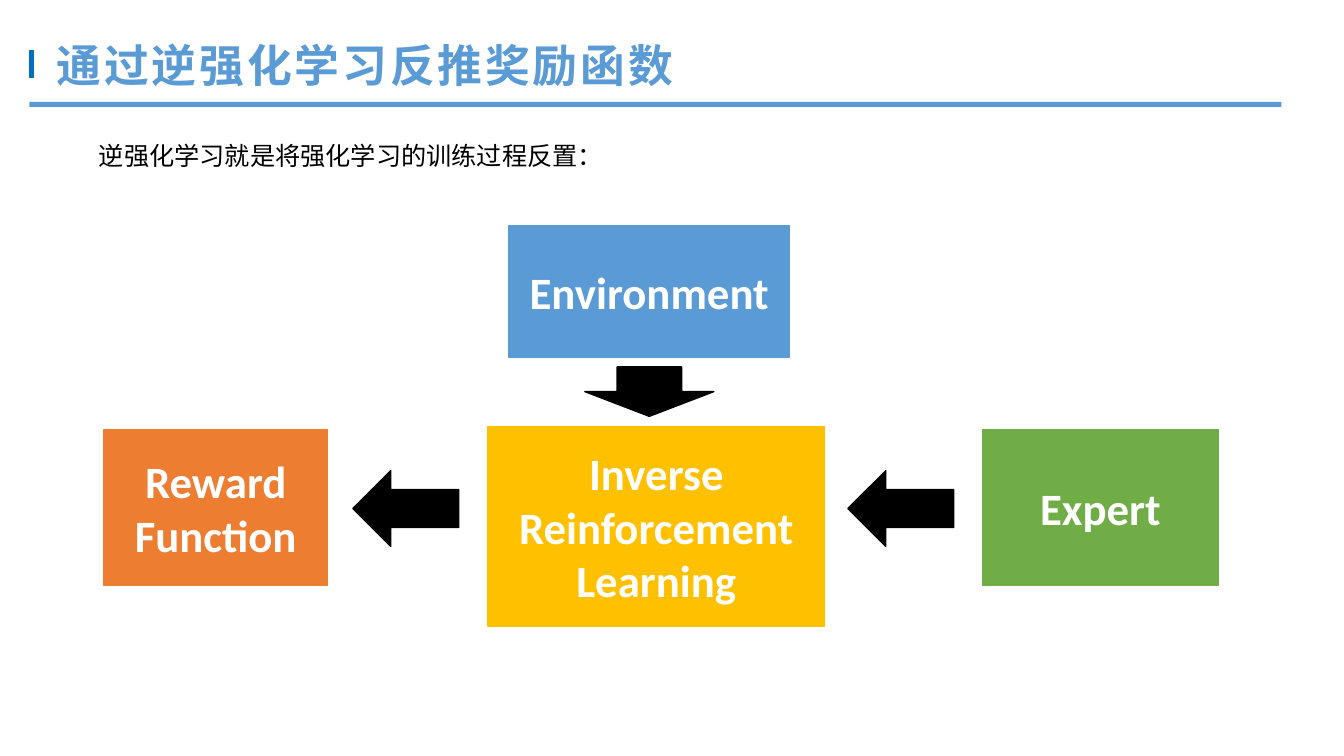
from dataclasses import dataclass

from lxml import etree
from pptx import Presentation
from pptx.dml.color import RGBColor
from pptx.enum.shapes import MSO_SHAPE
from pptx.enum.text import MSO_ANCHOR, MSO_AUTO_SIZE, PP_ALIGN
from pptx.oxml.ns import qn
from pptx.util import Inches, Pt

RECTANGLE = MSO_SHAPE.RECTANGLE
DOWN_ARROW = MSO_SHAPE.DOWN_ARROW
MIDDLE, TOP = MSO_ANCHOR.MIDDLE, MSO_ANCHOR.TOP
LEFT, CENTER = PP_ALIGN.LEFT, PP_ALIGN.CENTER
NO_AUTOFIT = MSO_AUTO_SIZE.NONE


@dataclass(frozen=True)
class Theme:
    blue: str = "5B9BD5"
    marker: str = "0070C0"
    orange: str = "ED7D31"
    gold: str = "FFC000"
    green: str = "70AD47"
    black: str = "000000"
    white: str = "FFFFFF"
    cjk_font: str = "Noto Sans CJK SC"
    body_font: str = "Cambria"
    box_font: str = "Calibri"
    large: int = 32
    body: int = 18
    outline: int = 1


THEME = Theme()

TITLE = "通过逆强化学习反推奖励函数"
INTRODUCTION = "逆强化学习就是将强化学习的训练过程反置："
TITLE_AREA = (0.46, 0.32, 6.55, 0.64)
INTRODUCTION_AREA = (0.38, 1.34, 12.27, 0.4)
FIRST_LINE_INDENT = 0.5

MARKER_AREA = (0.29, 0.5, 0.04, 0.27)
RULE_AREA = (0.29, 1.01, 12.42, 0.05)

BOXES = [
    (["Environment"], THEME.blue, (5.05, 2.24, 2.78, 1.31)),
    (["Reward", "Function"], THEME.orange, (1.03, 4.26, 2.22, 1.55)),
    (["Inverse", "Reinforcement", "Learning"], THEME.gold, (4.84, 4.23, 3.34, 1.98)),
    (["Expert"], THEME.green, (9.75, 4.26, 2.33, 1.55)),
]
ARROWS = [
    ((5.8, 3.64, 1.28, 0.49), 0),
    ((3.65, 4.52, 0.75, 1.05), 90),
    ((8.56, 4.52, 0.75, 1.05), 90),
]


def add_filled_shape(slide, preset, area, color, outlined=True):
    shape = slide.shapes.add_shape(preset, *map(Inches, area))
    shape.shadow.inherit = False
    shape.fill.solid()
    shape.fill.fore_color.rgb = RGBColor.from_string(color)
    if outlined:
        shape.line.color.rgb = RGBColor.from_string(color)
        shape.line.width = Pt(THEME.outline)
    else:
        shape.line.fill.background()
    return shape


def write_line(paragraph, text, font_name, size, color, alignment, bold=False):
    paragraph.alignment = alignment
    paragraph.space_before = Pt(0)
    run = paragraph.add_run()
    run.text = text
    run.font.name = font_name
    run.font.size = Pt(size)
    run.font.bold = bold
    run.font.color.rgb = RGBColor.from_string(color)
    return run


def set_east_asian_font(run, font_name):
    latin = run.font._element.find(qn("a:latin"))
    east_asian = etree.Element(qn("a:ea"), typeface=font_name)
    latin.addnext(east_asian)


def place_placeholder(placeholder, area, anchor):
    placeholder.left, placeholder.top, placeholder.width, placeholder.height = map(Inches, area)
    frame = placeholder.text_frame
    frame.word_wrap = True
    frame.auto_size = NO_AUTOFIT
    frame.vertical_anchor = anchor
    return frame.paragraphs[0]


def add_heading(slide):
    add_filled_shape(slide, RECTANGLE, MARKER_AREA, THEME.marker)
    add_filled_shape(slide, RECTANGLE, RULE_AREA, THEME.blue, outlined=False)
    paragraph = place_placeholder(slide.shapes.title, TITLE_AREA, MIDDLE)
    run = write_line(paragraph, TITLE, THEME.cjk_font, THEME.large, THEME.blue, LEFT, bold=True)
    set_east_asian_font(run, THEME.cjk_font)
    run.font._element.set("spc", "200")


def add_introduction(slide):
    paragraph = place_placeholder(slide.placeholders[1], INTRODUCTION_AREA, TOP)
    properties = paragraph._p.get_or_add_pPr()
    properties.set("marL", "0")
    properties.set("indent", str(Inches(FIRST_LINE_INDENT)))
    etree.SubElement(properties, qn("a:buNone"))
    run = write_line(paragraph, INTRODUCTION, THEME.body_font, THEME.body, THEME.black, LEFT)
    set_east_asian_font(run, THEME.cjk_font)


def add_box(slide, lines, color, area):
    box = add_filled_shape(slide, RECTANGLE, area, color)
    frame = box.text_frame
    frame.word_wrap = True
    frame.vertical_anchor = MIDDLE
    for index, line in enumerate(lines):
        paragraph = frame.add_paragraph() if index else frame.paragraphs[0]
        write_line(paragraph, line, THEME.box_font, THEME.large, THEME.white, CENTER, bold=True)


def main():
    presentation = Presentation()
    presentation.slide_width = Inches(13.33)
    presentation.slide_height = Inches(7.5)
    slide = presentation.slides.add_slide(presentation.slide_layouts[1])
    add_heading(slide)
    add_introduction(slide)
    for lines, color, area in BOXES:
        add_box(slide, lines, color, area)
    for area, rotation in ARROWS:
        arrow = add_filled_shape(slide, DOWN_ARROW, area, THEME.black)
        arrow.rotation = rotation
    presentation.save("out.pptx")


if __name__ == "__main__":
    main()
